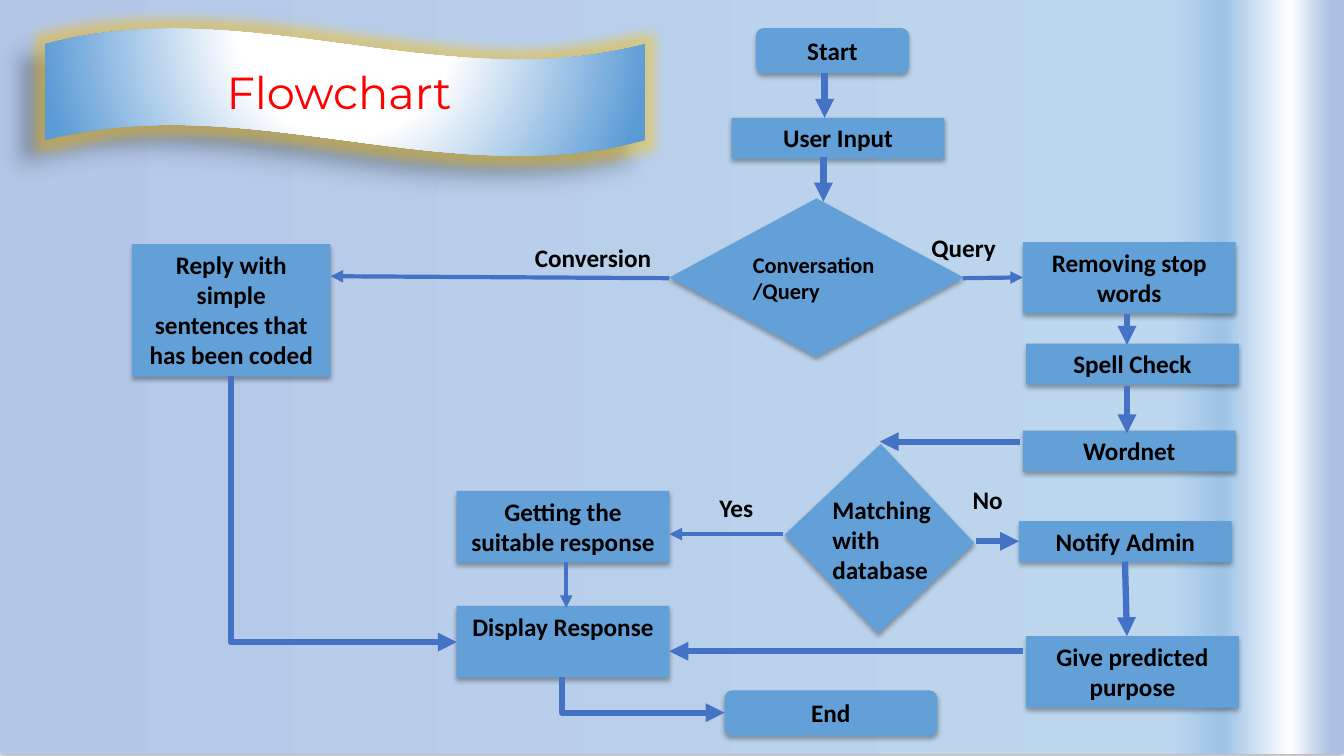
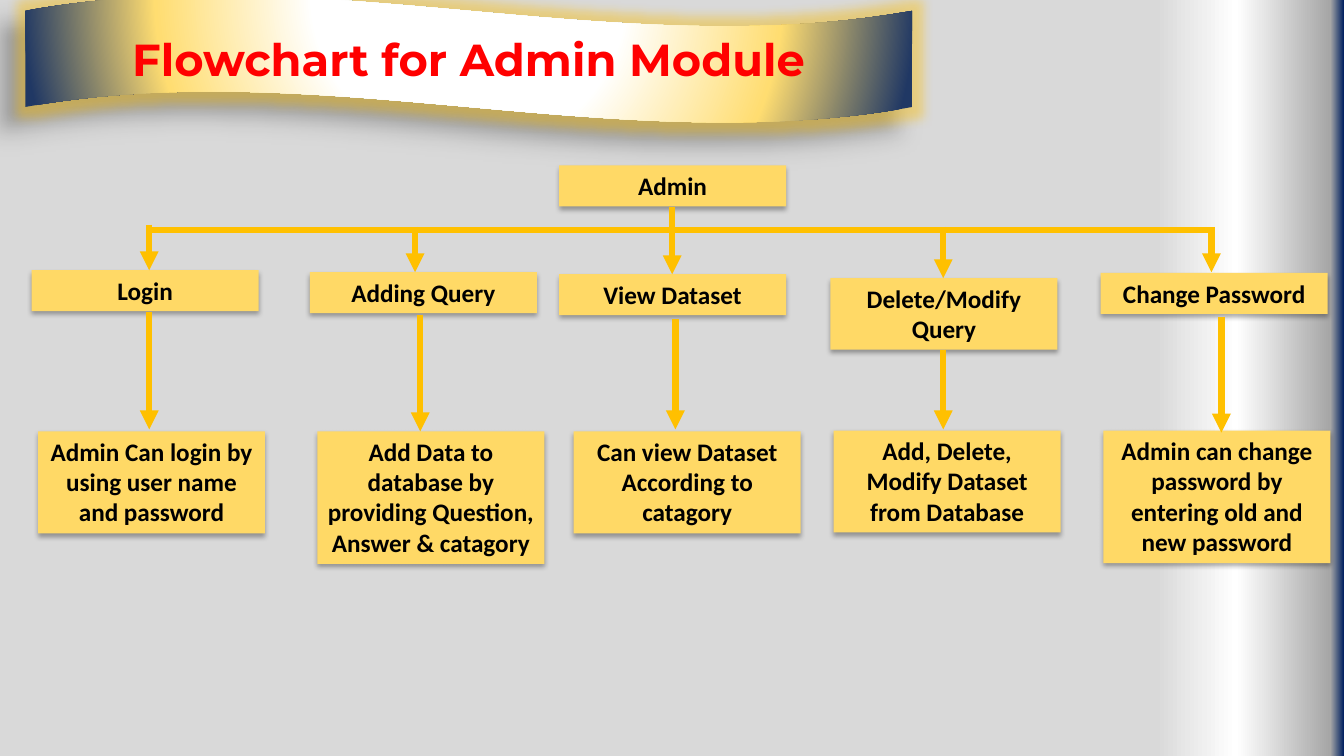
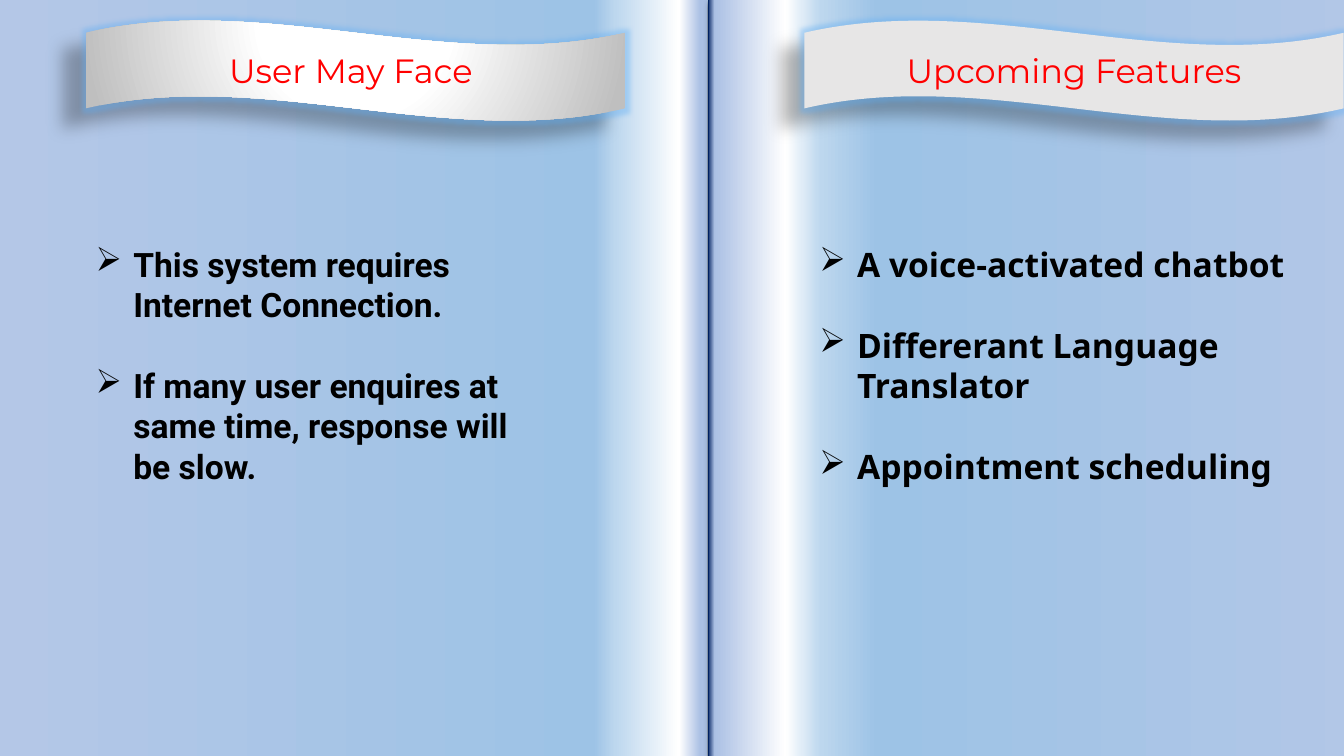
from dataclasses import dataclass
from typing import Optional, Union

import pptx
import pptx.dml.color
import pptx.enum.shapes
import pptx.enum.text
import pptx.oxml
import pptx.oxml.ns
import pptx.util

Cm = pptx.util.Cm
Pt = pptx.util.Pt
SHAPE = pptx.enum.shapes.MSO_SHAPE
CONNECTOR = pptx.enum.shapes.MSO_CONNECTOR
ALIGN = pptx.enum.text.PP_ALIGN
ANCHOR = pptx.enum.text.MSO_ANCHOR
AUTO = pptx.enum.text.MSO_AUTO_SIZE
qn = pptx.oxml.ns.qn

COLORS = {
    "text": "000000", "title": "FF0000", "white": "FFFFFF",
    "box_blue": "63A0D7", "arrow_blue": "4472C4", "banner_blue": "5B9BD5",
    "periwinkle": "B4C7E7", "pale": "BDD7EE", "sky": "9DC3E6", "edge": "ABC0E4",
    "box_gold": "FFD966", "arrow_gold": "FFC000", "banner_gold": "FFDD71",
    "navy": "002060", "banner_navy": "203864",
    "light_gray": "D9D9D9", "mid_gray": "BFBFBF", "dark_gray": "A6A6A6",
    "banner_gray": "E7E6E6", "glow_gold": "FFC000", "glow_blue": "63B0F5",
}


@dataclass(frozen=True)
class Gradient:
    stops: tuple[tuple[int, str], ...]
    radial: bool = False


@dataclass(frozen=True)
class Shadow:
    alpha: int
    blur: float
    dist: float
    angle: int


@dataclass(frozen=True)
class Box:
    text: str
    x: float
    y: float
    w: float
    lines: int = 1
    h: Optional[float] = None
    kind: SHAPE = SHAPE.RECTANGLE
    rotation: float = 0
    size: int = 18
    align: ALIGN = ALIGN.CENTER
    anchor: ANCHOR = ANCHOR.TOP
    grow: bool = True


@dataclass(frozen=True)
class Label:
    text: str
    x: float
    y: float
    w: float
    lines: int = 1
    align: ALIGN = ALIGN.LEFT


@dataclass(frozen=True)
class Arrow:
    x1: float
    y1: float
    x2: float
    y2: float
    weight: float = 4.5
    head: bool = True
    bent: bool = False


Paint = Union[str, Gradient]


@dataclass(frozen=True)
class Banner:
    text: str
    x: float
    y: float
    w: float
    h: float
    fill: Paint
    glow: str
    glow_size: int
    size: int = 32
    bold: bool = False


BOX_SHADOW = Shadow(32, 3.5, 2.2, 90)
BANNER_SHADOW = Shadow(28, 11.8, 19.7, 141)
PANEL_SHADOW = Shadow(30, 4.5, 2.6, 53)

BLUE_SWEEP = Gradient(((0, "periwinkle"), (87, "pale"), (91, "sky"),
                       (96, "white"), (99, "edge")))
GRAY_SWEEP = Gradient(((0, "light_gray"), (86, "light_gray"), (92, "white"),
                       (99, "dark_gray"), (100, "navy")))
LEFT_PAGE = Gradient(((0, "periwinkle"), (84, "sky"), (87, "pale"),
                      (96, "white"), (99, "edge")))
RIGHT_PAGE = Gradient(((0, "periwinkle"), (76, "sky"), (84, "pale"),
                       (89, "white"), (99, "edge"), (100, "navy")))


def shine(*outer: tuple[int, str]) -> Gradient:
    return Gradient(((0, "white"), (35, "white"), *outer), radial=True)


def rgb(name: str) -> pptx.dml.color.RGBColor:
    return pptx.dml.color.RGBColor.from_string(COLORS[name])


def xml(tag: str, attrs: str = "", body: str = ""):
    ns = pptx.oxml.ns.nsdecls("a")
    return pptx.oxml.parse_xml(f"<a:{tag} {ns} {attrs}>{body}</a:{tag}>")


def paint(owner, fill, value: Paint) -> None:
    fill.solid()
    if isinstance(value, str):
        fill.fore_color.rgb = rgb(value)
        return
    stops = "".join(f'<a:gs pos="{pos * 1000}"><a:srgbClr val="{COLORS[name]}"/></a:gs>'
                    for pos, name in value.stops)
    if value.radial:
        course = ('<a:path path="circle"><a:fillToRect l="50000" t="-80000" '
                  'r="50000" b="180000"/></a:path>')
    else:
        course = '<a:lin ang="0" scaled="0"/>'
    solid = owner.element.find(".//" + qn("a:solidFill"))
    solid.getparent().replace(
        solid, xml("gradFill", 'rotWithShape="1"', f"<a:gsLst>{stops}</a:gsLst>{course}"))


def write(tf, text: str, *, size: float = 18, font: str = "Calibri",
          color: str = "text", bold: bool = True, align: ALIGN = ALIGN.LEFT,
          anchor: ANCHOR = ANCHOR.TOP, grow: bool = True,
          bullet: str = "", gap: float = 0) -> None:
    tf.word_wrap = True
    tf.vertical_anchor = anchor
    tf.auto_size = AUTO.SHAPE_TO_FIT_TEXT if grow else AUTO.NONE
    for i, line in enumerate(text.split("\n")):
        p = tf.paragraphs[0] if i == 0 else tf.add_paragraph()
        p.alignment = align
        if i and gap:
            p.space_before = Pt(gap)
        if bullet:
            pr = p._p.get_or_add_pPr()
            pr.set("marL", str(Cm(0.95)))
            pr.set("indent", str(-Cm(0.95)))
            pr.append(xml("buChar", f'char="{bullet}"'))
        r = p.add_run()
        r.text = line
        r.font.size = Pt(size)
        r.font.name = font
        r.font.bold = bold
        r.font.color.rgb = rgb(color)


def effects(sp):
    return sp.element.spPr.find(qn("a:effectLst"))


def add_shape(s, kind: SHAPE, x: float, y: float, w: float, h: float, fill: Paint,
              shadow: Optional[Shadow] = None, rotation: float = 0):
    sp = s.shapes.add_shape(kind, Cm(x), Cm(y), Cm(w), Cm(h))
    sp.rotation = rotation
    paint(sp, sp.fill, fill)
    sp.line.fill.background()
    sp.shadow.inherit = False
    if shadow:
        effects(sp).append(xml(
            "outerShdw",
            f'blurRad="{Pt(shadow.blur)}" dist="{Pt(shadow.dist)}" '
            f'dir="{shadow.angle * 60000}" algn="ctr" rotWithShape="0"',
            f'<a:srgbClr val="000000"><a:alpha val="{shadow.alpha * 1000}"/></a:srgbClr>'))
    return sp


def line_height(lines: int) -> float:
    return 0.26 + 0.77 * lines


def add_box(s, box: Box, fill: str) -> None:
    h = box.h or line_height(box.lines)
    sp = add_shape(s, box.kind, box.x, box.y, box.w, h, fill, BOX_SHADOW, box.rotation)
    if box.text:
        write(sp.text_frame, box.text, size=box.size, align=box.align,
              anchor=box.anchor, grow=box.grow)


def add_label(s, label: Label) -> None:
    sp = s.shapes.add_textbox(Cm(label.x), Cm(label.y), Cm(label.w),
                              Cm(line_height(label.lines)))
    write(sp.text_frame, label.text, align=label.align)


def add_arrow(s, a: Arrow, color: str) -> None:
    if a.bent:
        w, h = a.y2 - a.y1, a.x2 - a.x1
        x, y = (a.x1 + a.x2 - w) / 2, (a.y1 + a.y2 - h) / 2
        sp = s.shapes.add_connector(CONNECTOR.ELBOW, Cm(x), Cm(y), Cm(x + w), Cm(y + h))
        xfrm = sp.element.spPr.find(qn("a:xfrm"))
        xfrm.set("rot", "16200000")
        xfrm.set("flipH", "1")
        sp.element.spPr.find(qn("a:prstGeom")).set("prst", "bentConnector2")
    else:
        sp = s.shapes.add_connector(CONNECTOR.STRAIGHT, Cm(a.x1), Cm(a.y1),
                                    Cm(a.x2), Cm(a.y2))
    sp.line.color.rgb = rgb(color)
    sp.line.width = Pt(a.weight)
    if a.head:
        sp.element.spPr.find(qn("a:ln")).append(xml("tailEnd", 'type="triangle"'))
    sp.element.spPr.append(xml("effectLst"))


def add_banner(s, b: Banner) -> None:
    sp = add_shape(s, SHAPE.WAVE, b.x, b.y, b.w, b.h, b.fill, BANNER_SHADOW)
    sp.adjustments[0] = 0.125
    sp.adjustments[1] = 0
    effects(sp).insert(0, xml(
        "glow", f'rad="{Pt(b.glow_size)}"',
        f'<a:srgbClr val="{COLORS[b.glow]}"><a:alpha val="40000"/></a:srgbClr>'))
    write(sp.text_frame, b.text, size=b.size, font="Montserrat", color="title",
          bold=b.bold, align=ALIGN.CENTER)


def add_list(s, x: float, w: float, font: str, items: tuple[str, ...]) -> None:
    sp = s.shapes.add_textbox(Cm(x), Cm(6.02), Cm(w), Cm(6.4))
    write(sp.text_frame, "\n".join(items), size=24, font=font, bullet="\u27a2", gap=29)


def flowchart(s, boxes: list[Box], labels: list[Label], arrows: list[Arrow],
              box_color: str, arrow_color: str) -> None:
    for box in boxes:
        add_box(s, box, box_color)
    for label in labels:
        add_label(s, label)
    for arrow in arrows:
        add_arrow(s, arrow, arrow_color)


prs = pptx.Presentation()
prs.slide_width, prs.slide_height = Cm(33.87), Cm(19.05)
blank = prs.slide_layouts[6]

STEP_W = 5.36
TERMINAL = SHAPE.FLOWCHART_ALTERNATE_PROCESS
s = prs.slides.add_slide(blank)
add_shape(s, SHAPE.RECTANGLE, 0, -0.05, 33.87, 19.05, BLUE_SWEEP, BOX_SHADOW)
add_banner(s, Banner("Flowchart ", 1.14, 0.71, 15.11, 3.23,
                     shine((100, "banner_blue")), "glow_gold", 15))
flowchart(s, [
    Box("User Input", 18.44, 2.97, STEP_W),
    Box("Start", 19.05, 0.71, 3.86, h=1.14, kind=TERMINAL),
    Box("Removing stop words", 25.78, 6.1, STEP_W, 2),
    Box("Spell Check", 25.86, 8.66, STEP_W),
    Box("Wordnet", 25.78, 10.85, STEP_W),
    Box("", 20.5, 11.86, 3.33, h=3.43, rotation=316.6),
    Box("Notify Admin", 25.68, 13.13, STEP_W),
    Box("Give predicted purpose", 25.86, 16.03, STEP_W, 2),
    Box("Getting the suitable response", 11.51, 12.37, STEP_W, 2),
    Box("Reply with simple sentences that has been coded", 3.33, 6.15, 5, 4),
    Box("End", 18.26, 17.4, STEP_W, h=1.14, kind=TERMINAL),
    Box("Conversation/Query", 16.87, 5, 7.42, h=3.99, kind=SHAPE.FLOWCHART_DECISION,
        size=16, align=ALIGN.LEFT, anchor=ANCHOR.MIDDLE, grow=False),
    Box("Display Response", 11.51, 15.27, STEP_W, 2, grow=False),
], [
    Label("Matching with database", 20.73, 12.32, 3.2, 3),
    Label("Conversion", 13.23, 5.97, 4.37),
    Label("Query", 22.71, 5.74, 3.15, align=ALIGN.CENTER),
    Label("Yes", 17.88, 12.29, 1.57),
    Label("No", 24.26, 12.09, 1.45),
], [
    Arrow(20.78, 1.85, 20.78, 2.97),
    Arrow(20.75, 3.96, 20.75, 5.08),
    Arrow(24.26, 7.01, 25.78, 6.99, 3),
    Arrow(16.87, 7.01, 8.33, 6.96, 3),
    Arrow(28.4, 7.9, 28.4, 8.69),
    Arrow(28.4, 9.73, 28.4, 10.92),
    Arrow(25.7, 11.13, 22.17, 11.13),
    Arrow(24.59, 13.64, 25.68, 13.64),
    Arrow(19.74, 13.46, 16.87, 13.46, 3),
    Arrow(28.35, 14.15, 28.4, 16.03),
    Arrow(25.78, 16.41, 16.87, 16.41),
    Arrow(14.27, 14.17, 14.27, 15.32, 3),
    Arrow(5.82, 9.47, 11.51, 16.18, bent=True),
    Arrow(14.17, 17.07, 18.26, 17.96, bent=True),
], "box_blue", "arrow_blue")

MODULE_W = 5.72
s = prs.slides.add_slide(blank)
add_shape(s, SHAPE.RECTANGLE, 0, 0, 33.87, 19.05, GRAY_SWEEP)
add_banner(s, Banner("Flowchart for Admin Module", 0.64, -0.13, 22.35, 3.23,
                     shine((70, "banner_gold"), (100, "banner_navy")),
                     "glow_gold", 15, bold=True))
flowchart(s, [
    Box("Admin", 14.09, 4.17, MODULE_W),
    Box("Login", 0.8, 6.81, MODULE_W),
    Box("Adding Query", 7.81, 6.86, MODULE_W),
    Box("View Dataset", 14.09, 6.91, MODULE_W),
    Box("Delete/Modify Query", 20.93, 7.01, MODULE_W, 2),
    Box("Change Password", 27.74, 6.88, MODULE_W),
    Box("Admin Can login by using user name and password", 0.96, 10.87, MODULE_W, 3),
    Box("Add Data to database by providing Question, Answer & catagory",
        8, 10.87, MODULE_W, 4),
    Box("Can view Dataset\nAccording to catagory", 14.46, 10.87, MODULE_W, 3),
    Box("Add, Delete, Modify Dataset from Database", 21.01, 10.85, MODULE_W, 3),
    Box("Admin can change password by entering old and new password",
        27.81, 10.85, MODULE_W, 4),
], [], [
    Arrow(3.76, 5.79, 30.61, 5.79, head=False),
    *(Arrow(x, top, x, bottom) for x, top, bottom in (
        (16.94, 5.21, 6.91), (3.76, 5.66, 6.81), (10.46, 5.72, 6.86),
        (23.77, 5.72, 7.01), (30.53, 5.72, 6.86),
        (3.76, 7.87, 10.82), (10.59, 7.95, 10.87), (17.02, 8.05, 10.82),
        (23.77, 8.81, 10.82), (30.78, 7.98, 10.9))),
], "box_gold", "arrow_gold")

s = prs.slides.add_slide(blank)
paint(s, s.background.fill, BLUE_SWEEP)
add_shape(s, SHAPE.RECTANGLE, -0.03, 0, 17.86, 19.05, LEFT_PAGE, PANEL_SHADOW)
add_shape(s, SHAPE.RECTANGLE, 17.83, 0, 17.83, 19.05, RIGHT_PAGE, PANEL_SHADOW, 180)
for text, x, fill in (("User May Face ", 2.16, shine((100, "mid_gray"))),
                      (" Upcoming Features ", 20.27, "banner_gray")):
    add_banner(s, Banner(text, x, 0.51, 13.59, 2.54, fill, "glow_blue", 6, 24))
add_list(s, 2.16, 11.73, "Roboto", (
    "This system requires Internet Connection.",
    "If many user enquires at same time, response will be slow."))
add_list(s, 20.4, 12.47, "Noto Sans", (
    "A voice-activated chatbot",
    "Differerant Language Translator",
    "Appointment scheduling"))

prs.save("out.pptx")
